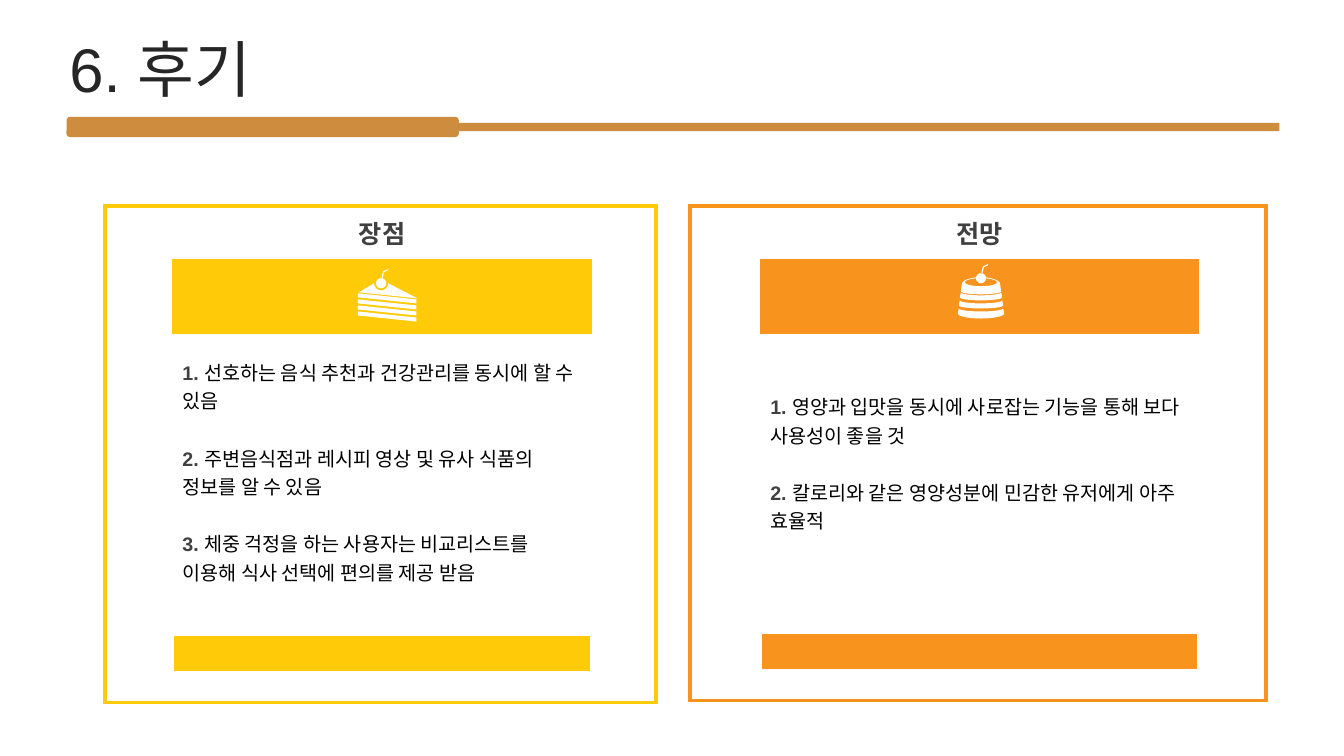
import math

import pptx
import pptx.dml.color
import pptx.enum.shapes
import pptx.enum.text
import pptx.oxml.ns
import pptx.util
from lxml import etree

Inches = pptx.util.Inches
Pt = pptx.util.Pt
RGBColor = pptx.dml.color.RGBColor
Shape = pptx.enum.shapes.MSO_SHAPE
Align = pptx.enum.text.PP_ALIGN
Anchor = pptx.enum.text.MSO_ANCHOR
qn = pptx.oxml.ns.qn

WHITE = RGBColor(0xFF, 0xFF, 0xFF)
BLACK = RGBColor(0, 0, 0)
INK = RGBColor(0x26, 0x26, 0x26)
GREY = RGBColor(0x40, 0x40, 0x40)
BRONZE = RGBColor(0xCE, 0x8D, 0x3E)
YELLOW = RGBColor(0xFF, 0xCA, 0x08)
ORANGE = RGBColor(0xF8, 0x93, 0x1D)

LATIN = "Arial"
KOREAN = "Noto Sans CJK KR"
NO_GRID_STYLE = "{2D5ABB26-0587-4C30-8999-92F81FD0307C}"
SIDES = {"a:lnL": (0, -1), "a:lnR": (0, 1), "a:lnT": (-1, 0), "a:lnB": (1, 0)}
HEADING, BAND, BODY, BAR = (0, 1), (1, 1), (2, 1), (5, 1)


def arc(x, y, across, down, start=0, end=360):
    """Points along an ellipse; angles in degrees, clockwise from the right."""
    angles = [math.radians(start + (end - start) * step / 24) for step in range(25)]
    return [(x + across * math.cos(a), y + down * math.sin(a)) for a in angles]


def cherry(x, y):
    """A round fruit with a bent stem."""
    stem = [(x, y - 0.04), (x + 0.02, y - 0.12), (x + 0.07, y - 0.14),
            (x + 0.07, y - 0.13), (x + 0.03, y - 0.11), (x + 0.01, y - 0.04)]
    return [arc(x, y, 0.05, 0.05), stem]


def cake_slice():
    layers = [[(3.55, y), (4.13, y + 0.06), (4.13, y + 0.1), (3.55, y + 0.04)]
              for y in (2.91 + 0.06 * layer for layer in range(4))]
    notch = arc(3.78, 2.81, 0.07, 0.07, 180, 0)
    icing = notch + [(4.14, 2.96), (3.56, 2.9)]
    return layers + [icing]


def pudding():
    x = 9.73
    dome = arc(x, 2.82, 0.19, 0.07, 180, 360) + arc(x, 2.89, 0.2, 0.03, 0, 180)
    plate = arc(x, 2.8, 0.16, 0.04)
    layers = [arc(x, 2.9 + 0.08 * layer, 0.2 + 0.01 * layer, 0.03, 180, 0)
              + arc(x, 2.95 + 0.08 * layer, 0.21 + 0.01 * layer, 0.03 + 0.02 * (layer // 2), 0, 180)
              for layer in range(3)]
    return [dome, plate] + layers


class ReviewPage:
    def __init__(self, deck):
        self.page = deck.slides.add_slide(deck.slide_layouts[6])

    def paint(self, shape, color):
        shape.shadow.inherit = False
        shape.fill.solid()
        shape.fill.fore_color.rgb = color
        shape.line.fill.background()

    def bar(self, kind, left, top, width, height):
        shape = self.page.shapes.add_shape(
            kind, Inches(left), Inches(top), Inches(width), Inches(height))
        self.paint(shape, BRONZE)

    def span(self, para, text, size, color, font=LATIN, bold=False):
        run = para.add_run()
        run.text = text
        run.font.size, run.font.bold, run.font.name = Pt(size), bold, font
        run.font.color.rgb = color
        etree.SubElement(run.font._element, qn("a:ea"), typeface=KOREAN)

    def title(self, text):
        box = self.page.shapes.add_textbox(
            Inches(0.59), Inches(0.32), Inches(12.17), Inches(0.79))
        box.text_frame.word_wrap = True
        box.text_frame.vertical_anchor = Anchor.MIDDLE
        para = box.text_frame.paragraphs[0]
        para.line_spacing = 0.9
        self.span(para, text, 44, INK)

    def icon(self, contours):
        first, *others = [[(Inches(x), Inches(y)) for x, y in contour]
                          for contour in contours]
        builder = self.page.shapes.build_freeform(*first[0])
        builder.add_line_segments(first[1:])
        for points in others:
            builder.move_to(*points[0])
            builder.add_line_segments(points[1:])
        self.paint(builder.convert_to_shape(), WHITE)

    def edge(self, cell, side, color, width):
        line = etree.SubElement(cell._tc.get_or_add_tcPr(), qn(side), w=str(Pt(width)))
        fill = etree.SubElement(line, qn("a:solidFill"))
        etree.SubElement(fill, qn("a:srgbClr"), val=str(color))

    def panel(self, left, columns, rows, color, heading, points):
        frame = self.page.shapes.add_table(
            len(rows), len(columns), Inches(left), Inches(2.04),
            Inches(sum(columns)), Inches(sum(rows)))
        table = frame.table
        table.first_row = table.horz_banding = False
        frame._element.find(".//" + qn("a:tableStyleId")).text = NO_GRID_STYLE
        for column, width in zip(table.columns, columns):
            column.width = Inches(width)
        for row, height in zip(table.rows, rows):
            row.height = Inches(height)

        places = [(r, c) for r in range(len(rows)) for c in range(len(columns))]
        for r, c in places:
            cell = table.cell(r, c)
            cell.margin_top = cell.margin_bottom = 0
            cell.vertical_anchor = Anchor.MIDDLE
            for side, (down, across) in SIDES.items():
                neighbour = (r + down, c + across)
                if BAR in ((r, c), neighbour):
                    self.edge(cell, side, WHITE, 2.25)
                elif neighbour not in places:
                    self.edge(cell, side, color, 3)
            if (r, c) in (BAND, BAR):
                cell.fill.solid()
                cell.fill.fore_color.rgb = color
            if (r, c) not in (HEADING, BODY):
                etree.SubElement(cell.text_frame.paragraphs[0]._p,
                                 qn("a:endParaRPr"), sz="600")

        para = table.cell(*HEADING).text_frame.paragraphs[0]
        para.alignment = Align.CENTER
        self.span(para, heading, 18, GREY, bold=True)

        body = table.cell(*BODY)
        body.margin_top = Inches(0.19)
        for number, point in enumerate(points, 1):
            if number == 1:
                para = body.text_frame.paragraphs[0]
            else:
                para = body.text_frame.add_paragraph()
                para.space_before = Pt(20.4)
            self.span(para, f"{number}. ", 14, GREY, bold=True)
            self.span(para, point, 14, BLACK, KOREAN)


def main():
    deck = pptx.Presentation()
    deck.slide_width, deck.slide_height = Inches(13.33), Inches(7.5)
    review = ReviewPage(deck)
    review.bar(Shape.RECTANGLE, 2.89, 1.22, 9.8, 0.08)
    review.bar(Shape.ROUNDED_RECTANGLE, 0.66, 1.16, 3.89, 0.2)
    review.title("6. 후기")
    review.panel(1.04, (0.67, 4.16, 0.64), (0.53, 0.74, 2.55, 0.14, 0.3, 0.37, 0.3),
                 YELLOW, "장점", [
                     "선호하는 음식 추천과 건강관리를 동시에 할 수 있음",
                     "주변음식점과 레시피 영상 및 유사 식품의 정보를 알 수 있음",
                     "체중 걱정을 하는 사용자는 비교리스트를 이용해 식사 선택에 편의를 제공 받음"])
    review.icon(cake_slice() + cherry(3.78, 2.81))
    review.panel(6.84, (0.7, 4.35, 0.67), (0.53, 0.74, 2.38, 0.29, 0.3, 0.37, 0.3),
                 ORANGE, "전망", [
                     "영양과 입맛을 동시에 사로잡는 기능을 통해 보다 사용성이 좋을 것",
                     "칼로리와 같은 영양성분에 민감한 유저에게 아주 효율적"])
    review.icon(pudding())
    review.icon(cherry(9.73, 2.76))
    deck.save("out.pptx")


if __name__ == "__main__":
    main()
